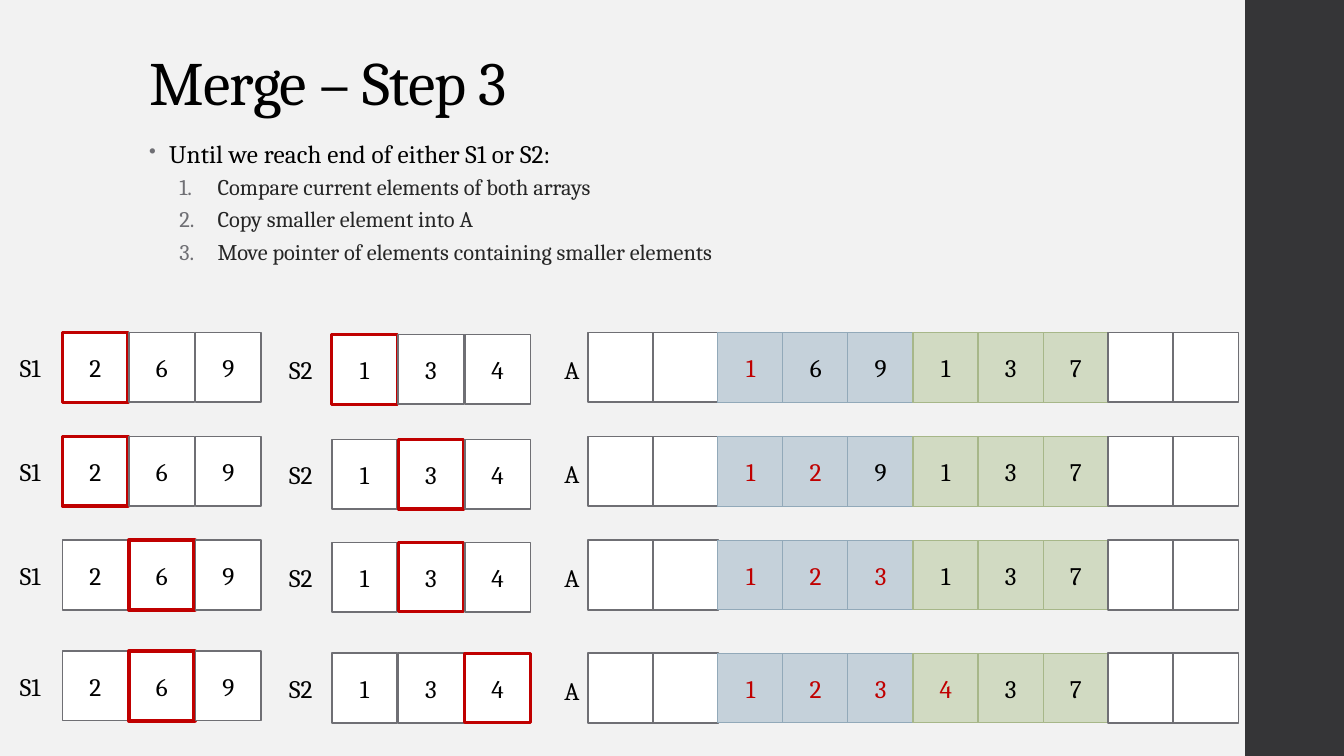
from dataclasses import dataclass
from lxml.etree import SubElement
from pptx import Presentation
from pptx.dml.color import RGBColor
from pptx.enum.shapes import MSO_SHAPE
from pptx.enum.text import MSO_ANCHOR, MSO_AUTO_SIZE, PP_ALIGN
from pptx.oxml.ns import qn
from pptx.util import Inches, Pt


@dataclass(frozen=True)
class Theme:
    font: str = "Cambria"
    back: str = "F2F2F2"
    bar: str = "353537"
    ink: str = "000000"
    soft: str = "262626"
    gray: str = "6F6F74"
    red: str = "C00000"
    white: str = "FFFFFF"
    blue: str = "C5D1DA"
    blue_line: str = "92A9B9"
    green: str = "D1DAC2"
    green_line: str = "A7B789"
    title: int = 44
    text: int = 18
    sub: int = 16


THEME = Theme()
CELL_W, CELL_H = 0.65, 0.69

# Cell looks: fill, line colour, line width
PLAIN = (THEME.white, THEME.gray, 1.1)
BLUE = (THEME.blue, THEME.blue_line, 0.75)
GREEN = (THEME.green, THEME.green_line, 0.75)
A_LOOKS = [PLAIN] * 2 + [BLUE] * 3 + [GREEN] * 3 + [PLAIN] * 2

S1, S2 = "269", "134"
# Tops of S1, S2 and A, pointers in S1 and S2, pointer width in S1,
# values in A, number of values copied so far
STEPS = [
    (3.3, 3.32, 3.3, 0, 0, 2.25, "169137", 1),
    (4.33, 4.36, 4.33, 0, 1, 2.25, "129137", 2),
    (5.36, 5.38, 5.36, 1, 1, 3, "123137", 3),
    (6.46, 6.48, 6.48, 1, 2, 3, "123437", 4),
]
RULES = [
    "Compare current elements of both arrays",
    "Copy smaller element into A",
    "Move pointer of elements containing smaller elements",
]


def rgb(code):
    return RGBColor.from_string(code)


def style(para, size, color=THEME.ink, gap=0):
    """Format the runs; gap is letter spacing in points."""
    for run in para.runs:
        font = run.font
        font.name, font.size = THEME.font, Pt(size)
        font.color.rgb = rgb(color)
        if gap:
            run._r.get_or_add_rPr().set("spc", str(round(gap * 100)))


def bullet(para, left, hang, kind, size=100, **mark):
    props = para._p.get_or_add_pPr()
    props.set("marL", str(Inches(left)))
    props.set("indent", str(-Inches(hang)))
    SubElement(SubElement(props, qn("a:buClr")), qn("a:srgbClr"), val=THEME.gray)
    SubElement(props, qn("a:buSzPct"), val=str(size * 1000))
    SubElement(props, qn(kind), **mark)


def add_bar(slide, left, top, width, height):
    bar = slide.shapes.add_shape(MSO_SHAPE.RECTANGLE, Inches(left), Inches(top),
                                 Inches(width), Inches(height))
    bar.shadow.inherit = False
    bar.fill.solid()
    bar.fill.fore_color.rgb = rgb(THEME.bar)
    bar.line.fill.background()


def add_title(slide, left, top, width, height):
    title = slide.shapes.title
    title.left, title.top = Inches(left), Inches(top)
    title.width, title.height = Inches(width), Inches(height)
    frame = title.text_frame
    frame.text = "Merge – Step 3"
    frame.auto_size = MSO_AUTO_SIZE.NONE
    frame.vertical_anchor = MSO_ANCHOR.BOTTOM
    para = frame.paragraphs[0]
    para.alignment, para.line_spacing = PP_ALIGN.LEFT, 0.9
    style(para, THEME.title, gap=-0.5)


def add_rules(slide, left, top, width, height):
    box = slide.shapes.add_textbox(Inches(left), Inches(top), Inches(width), Inches(height))
    frame = box.text_frame
    frame.word_wrap = True
    head = frame.paragraphs[0]
    head.text = "Until we reach end of either S1 or S2:"
    head.line_spacing, head.space_after = 0.95, Pt(2)
    bullet(head, 0.2, 0.2, "a:buChar", 80, char="•")
    style(head, THEME.text, gap=0.1)
    for rule in RULES:
        para = frame.add_paragraph()
        para.text, para.level = rule, 1
        para.line_spacing = 0.9
        para.space_before = para.space_after = Pt(3)
        bullet(para, 0.68, 0.38, "a:buAutoNum", type="arabicPeriod")
        style(para, THEME.sub, THEME.soft)


def add_cell(shapes, left, top, text, look, color):
    fill, line, weight = look
    cell = shapes.add_shape(MSO_SHAPE.FLOWCHART_PROCESS, Inches(left), Inches(top),
                            Inches(CELL_W), Inches(CELL_H))
    cell.shadow.inherit = False
    cell.fill.solid()
    cell.fill.fore_color.rgb = rgb(fill)
    cell.line.color.rgb = rgb(line)
    cell.line.width = Pt(weight)
    if text:
        frame = cell.text_frame
        frame.text = text
        frame.vertical_anchor = MSO_ANCHOR.MIDDLE
        frame.paragraphs[0].alignment = PP_ALIGN.CENTER
        style(frame.paragraphs[0], THEME.text, color)


def add_array(slide, left, top, pitch, label, cells):
    """Label and row of cells, each cell a (text, look, text colour)."""
    shapes = slide.shapes.add_group_shape().shapes
    shift, drop, width = (0.33, 0.17, 0.38) if label == "A" else (0.52, 0.15, 0.5)
    tag = shapes.add_textbox(Inches(left - shift), Inches(top + drop),
                             Inches(width), Inches(0.4))
    frame = tag.text_frame
    frame.word_wrap = False
    frame.text = label
    style(frame.paragraphs[0], THEME.text)
    for i, cell in enumerate(cells):
        add_cell(shapes, left + i * pitch, top, *cell)


def source(values, mark, weight):
    """Cells of a source array with the current one outlined in red."""
    return [(text, (THEME.white, THEME.red, weight) if i == mark else PLAIN, THEME.ink)
            for i, text in enumerate(values)]


def target(values, done):
    """Cells of A with the copied values in red."""
    texts = ["", "", *values, "", ""]
    return [(text, look, THEME.red if i < done + 2 else THEME.ink)
            for i, (text, look) in enumerate(zip(texts, A_LOOKS))]


def add_step(slide, top1, top2, top, mark1, mark2, weight, values, done):
    add_array(slide, 5.83, top, 0.645, "A", target(values, done))
    add_array(slide, 0.62, top1, 0.66, "S1", source(S1, mark1, weight))
    add_array(slide, 3.29, top2, 0.66, "S2", source(S2, mark2, 2.25))


def main():
    deck = Presentation()
    deck.slide_width, deck.slide_height = Inches(13.33), Inches(7.5)
    slide = deck.slides.add_slide(deck.slide_layouts[5])
    slide.background.fill.solid()
    slide.background.fill.fore_color.rgb = rgb(THEME.back)
    add_bar(slide, 12.35, 0, 0.98, 7.5)
    add_title(slide, 1.38, 0.4, 10.6, 0.83)
    add_rules(slide, 1.38, 1.34, 9.4, 1.45)
    for step in STEPS:
        add_step(slide, *step)
    deck.save("out.pptx")


if __name__ == "__main__":
    main()
